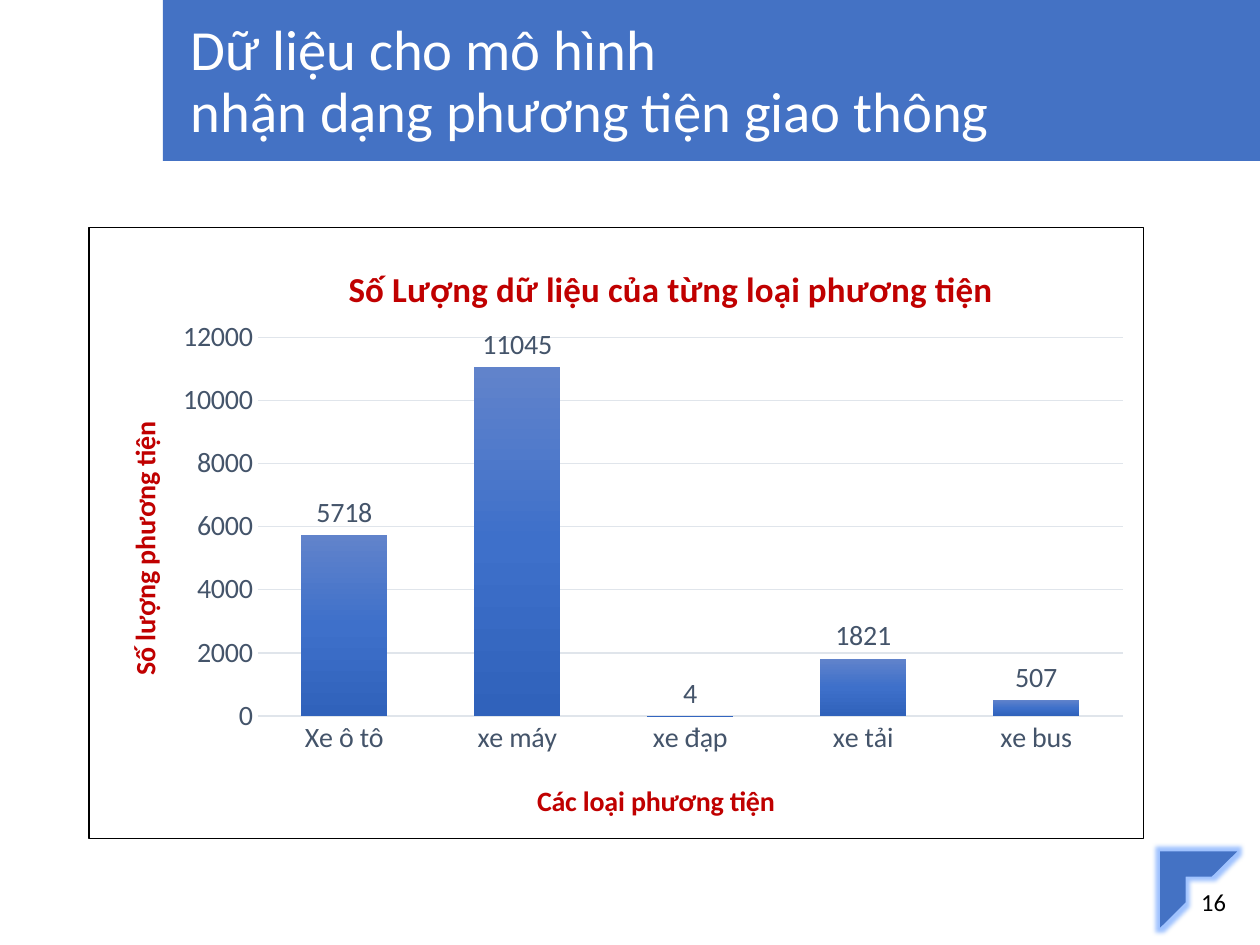
from lxml import etree
from pptx import Presentation
from pptx.chart.data import CategoryChartData
from pptx.dml.color import RGBColor
from pptx.enum import chart as charts, shapes, text
from pptx.oxml import parse_xml
from pptx.oxml.ns import nsdecls, qn
from pptx.util import Pt

BLUE = RGBColor(0x44, 0x72, 0xC4)
WHITE = RGBColor(255, 255, 255)
BLACK = RGBColor(0, 0, 0)
RED = RGBColor(0xC0, 0, 0)
SLATE = RGBColor(0x44, 0x54, 0x6A)
GRID = RGBColor(0xE0, 0xE5, 0xEB)
GLOW = RGBColor(0xA0, 0xC3, 0xFF)
BAR_STOPS = [(0, RGBColor(0x61, 0x83, 0xCB)), (50, RGBColor(0x3E, 0x70, 0xCA)),
             (100, RGBColor(0x30, 0x62, 0xBB))]


def style(font, size, color, bold=False):
    font.name = "Calibri"
    font.size = Pt(size)
    font.bold = bold
    font.color.rgb = color


def place(element, inner=False, **fractions):
    for old in element.findall(qn("c:layout")):
        element.remove(old)
    values = "".join(f'<c:{key} val="{value}"/>' for key, value in fractions.items())
    target = '<c:layoutTarget val="inner"/>' if inner else ""
    layout = parse_xml(
        f'<c:layout {nsdecls("c")}><c:manualLayout>{target}<c:xMode val="edge"/>'
        f'<c:yMode val="edge"/>{values}</c:manualLayout></c:layout>')
    element.insert(0 if inner else 1, layout)


deck = Presentation()
deck.slide_width, deck.slide_height = Pt(720), Pt(540)
slide = deck.slides.add_slide(deck.slide_layouts[6])

banner = slide.shapes.add_shape(shapes.MSO_SHAPE.RECTANGLE, Pt(93), 0, Pt(627), Pt(92))
corner = slide.shapes.add_shape(shapes.MSO_SHAPE.HALF_FRAME, Pt(663), Pt(486.5), Pt(44), Pt(43.5))
for block in (banner, corner):
    block.shadow.inherit = False
    block.fill.solid()
    block.fill.fore_color.rgb = BLUE
    block.line.fill.background()
effects = corner._element.spPr.find(qn("a:effectLst"))
glow = etree.SubElement(effects, qn("a:glow"), rad=str(Pt(5)))
etree.SubElement(glow, qn("a:srgbClr"), val=str(GLOW))

page = slide.shapes.add_textbox(Pt(667), Pt(501), Pt(53), Pt(29)).text_frame
page.word_wrap = True
page.vertical_anchor = text.MSO_ANCHOR.MIDDLE
page.paragraphs[0].alignment = text.PP_ALIGN.CENTER
page_number = page.paragraphs[0].add_run()
page_number.text = "16"
style(page_number.font, 14, BLACK)

heading = slide.shapes.add_textbox(0, Pt(1), Pt(603), Pt(93)).text_frame
heading.word_wrap = True
heading.vertical_anchor = text.MSO_ANCHOR.MIDDLE
heading.margin_left = Pt(109)
heading_lines = heading.paragraphs[0]
heading_lines.line_spacing = 0.9
for number, line in enumerate(["Dữ liệu cho mô hình", "nhận dạng phương tiện giao thông"]):
    if number:
        heading_lines.add_line_break()
    heading_run = heading_lines.add_run()
    heading_run.text = line
    style(heading_run.font, 32.4, WHITE)

vehicles = CategoryChartData()
vehicles.categories = ["Xe ô tô", "xe máy", "xe đạp", "xe tải", "xe bus"]
vehicles.add_series("Series 1", [5718, 11045, 4, 1821, 507])
chart = slide.shapes.add_chart(charts.XL_CHART_TYPE.COLUMN_CLUSTERED, Pt(50.5), Pt(129.5),
                               Pt(603.5), Pt(350), vehicles).chart
style(chart.font, 16, BLACK)
chart.has_legend = False

kinds, amounts = chart.category_axis, chart.value_axis
for owner, words, size, x, y in [
        (chart, "Số Lượng dữ liệu của từng loại phương tiện", 20, 0.24, 0.05),
        (kinds, "Các loại phương tiện", 16, 0.42, 0.9),
        (amounts, "Số lượng phương tiện", 16, 0.03, 0.31)]:
    title = owner.chart_title if owner is chart else owner.axis_title
    title_run = title.text_frame.paragraphs[0].add_run()
    title_run.text = words
    style(title_run.font, size, RED, True)
    place(title._element, x=x, y=y)
amounts.axis_title.text_frame._txBody.bodyPr.set("rot", "-5400000")

for axis in (kinds, amounts):
    style(axis.tick_labels.font, 16, SLATE)
    axis.major_tick_mark = charts.XL_TICK_MARK.NONE
    axis.minor_tick_mark = charts.XL_TICK_MARK.NONE
amounts.minimum_scale, amounts.maximum_scale, amounts.major_unit = 0, 12000, 2000
amounts.format.line.fill.background()
for rule in (kinds.format.line, amounts.major_gridlines.format.line):
    rule.color.rgb = GRID
    rule.width = Pt(0.75)

plot = chart.plots[0]
plot.vary_by_categories = False
plot.gap_width, plot.overlap = 100, -24
place(chart._chartSpace.chart.plotArea, True, x=0.16, y=0.18, w=0.82, h=0.62)

bars = plot.series[0]
bars.format.fill.gradient()
bars.format.fill.gradient_angle = 270
stops = bars._element.spPr.find(qn("a:gradFill")).find(qn("a:gsLst"))
for stop in list(stops):
    stops.remove(stop)
for percent, color in BAR_STOPS:
    stop = etree.SubElement(stops, qn("a:gs"), pos=str(percent * 1000))
    etree.SubElement(stop, qn("a:srgbClr"), val=str(color))

labels = bars.data_labels
labels.show_value = True
labels.position = charts.XL_LABEL_POSITION.OUTSIDE_END
style(labels.font, 16, SLATE)

frame = parse_xml(
    f'<c:spPr {nsdecls("c", "a")}><a:noFill/><a:ln w="{Pt(0.75)}"><a:solidFill>'
    f'<a:srgbClr val="{BLACK}"/></a:solidFill></a:ln></c:spPr>')
chart._chartSpace.chart.addnext(frame)

deck.save("out.pptx")
